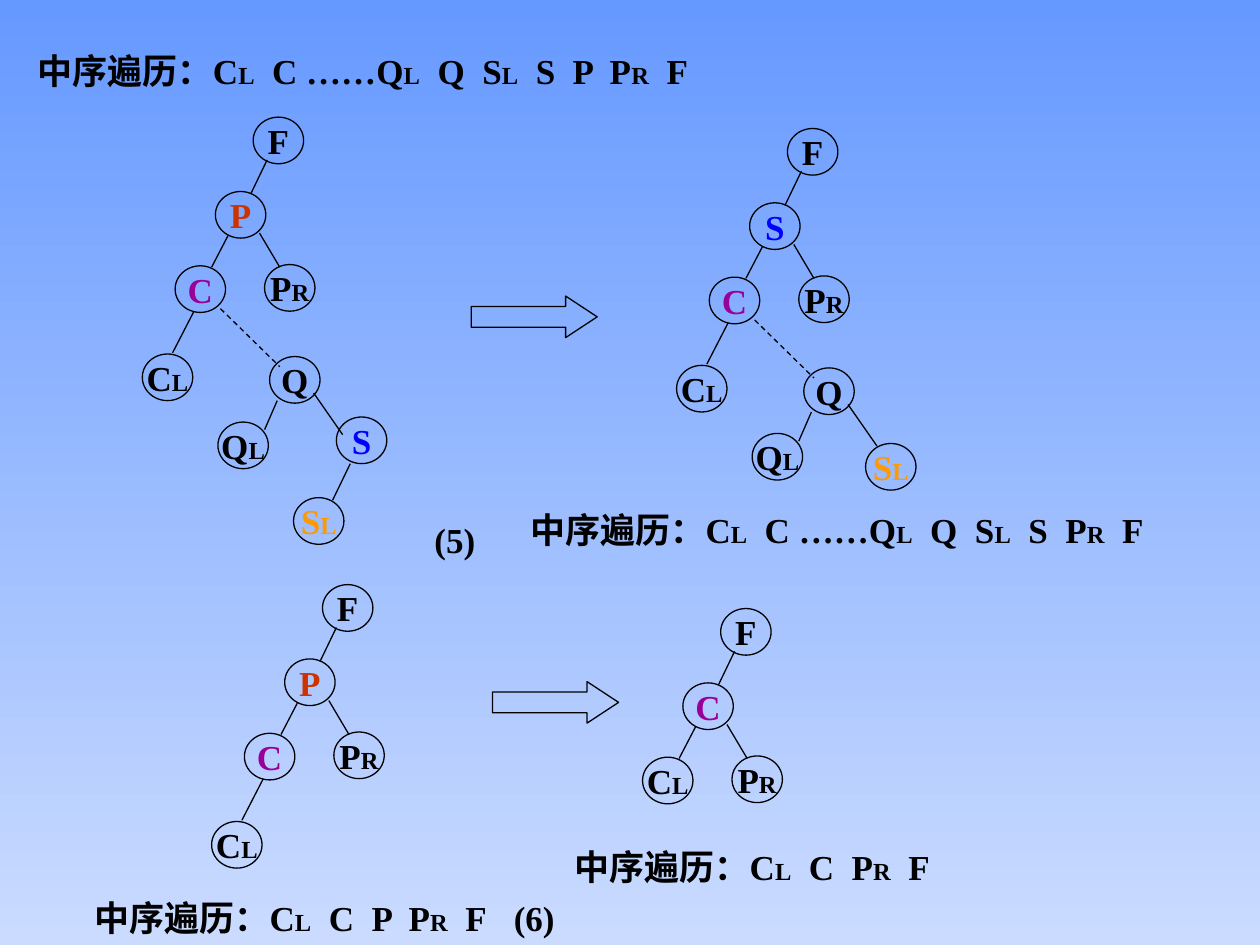
from dataclasses import dataclass
from typing import NamedTuple, Optional

from lxml.etree import SubElement
from pptx import Presentation
from pptx.dml.color import RGBColor
from pptx.enum.dml import MSO_LINE
from pptx.enum.shapes import MSO_CONNECTOR, MSO_SHAPE
from pptx.enum.text import MSO_ANCHOR, MSO_AUTO_SIZE, PP_ALIGN
from pptx.oxml.ns import qn
from pptx.util import Emu, Pt

BLACK = RGBColor(0x00, 0x00, 0x00)
RED = RGBColor(0xCC, 0x33, 0x00)
PURPLE = RGBColor(0x99, 0x00, 0x99)
BLUE = RGBColor(0x00, 0x00, 0xFF)
ORANGE = RGBColor(0xFF, 0x99, 0x00)
SKY = RGBColor(0x66, 0x99, 0xFF)
PALE = RGBColor(0xCA, 0xDB, 0xFF)

FONT = "Times New Roman"
LETTER_SIZE, SUFFIX_SIZE = 20, 14
LINE_WIDTH = Pt(0.75)
NODE_WIDTH, NODE_HEIGHT = 40, 37
ARROW_WIDTH, ARROW_HEIGHT = 100, 33
TEXT_HEIGHT = 44


class Edge(NamedTuple):
    start_x: int
    start_y: int
    end_x: int
    end_y: int
    dashed: bool = False


class Slot(NamedTuple):
    left: int
    top: int
    edge: Optional[Edge] = None


class Node(NamedTuple):
    slot: Slot
    label: str
    color: RGBColor = BLACK


@dataclass
class Tree:
    left: int
    top: int
    nodes: list[Node]


@dataclass
class Caption:
    left: int
    top: int
    width: int
    text: str
    align: PP_ALIGN = PP_ALIGN.LEFT


ROOT = Slot(0, 0)
CHILD = Slot(-30, 59, Edge(11, 34, -2, 61))
LEFT = Slot(-62, 118, Edge(-20, 94, -33, 119))
RIGHT = Slot(9, 117, Edge(5, 92, 21, 119))
LEFT_LEFT = Slot(-88, 188, Edge(-47, 154, -64, 187))
INNER = Slot(13, 190, Edge(-26, 152, 21, 198, True))
INNER_LEFT = Slot(-28, 242, Edge(19, 225, 9, 248))
INNER_RIGHT_EDGE = Edge(48, 219, 71, 252)
INNER_RIGHT = Slot(66, 238, INNER_RIGHT_EDGE)
INNER_RIGHT_LOW = Slot(62, 250, INNER_RIGHT_EDGE)
LOWEST = Slot(32, 302, Edge(77, 275, 63, 304))

F_ROOT = Node(ROOT, "F")
P_CHILD = Node(CHILD, "P", RED)
C_SUBTREE = [Node(LEFT, "C", PURPLE), Node(RIGHT, "P_R"), Node(LEFT_LEFT, "C_L")]
Q_SUBTREE = [Node(INNER, "Q"), Node(INNER_LEFT, "Q_L")]

TREES = [
    Tree(201, 93, [F_ROOT, P_CHILD, *C_SUBTREE, *Q_SUBTREE,
                   Node(INNER_RIGHT, "S", BLUE), Node(LOWEST, "S_L", ORANGE)]),
    Tree(625, 102, [F_ROOT, Node(CHILD, "S", BLUE), *C_SUBTREE, *Q_SUBTREE,
                    Node(INNER_RIGHT_LOW, "S_L", ORANGE)]),
    Tree(256, 464, [F_ROOT, P_CHILD, *C_SUBTREE]),
    Tree(572, 483, [F_ROOT, Node(CHILD, "C", PURPLE),
                    Node(RIGHT, "P_R"), Node(LEFT, "C_L")]),
]

CAPTIONS = [
    Caption(20, 34, 554, "中序遍历：C_L  C ……Q_L  Q  S_L  S  P  P_R  F"),
    Caption(411, 398, 523, "中序遍历：C_L  C ……Q_L  Q  S_L  S  P_R  F"),
    Caption(331, 406, 60, "(5)", PP_ALIGN.CENTER),
    Caption(65, 706, 350, "中序遍历：C_L  C  P  P_R  F"),
    Caption(446, 666, 319, "中序遍历：C_L  C  P_R  F"),
    Caption(394, 706, 60, "(6)", PP_ALIGN.CENTER),
]

ARROWS = [(374, 235), (391, 541)]


def px(length: int) -> Emu:
    return Emu(length * 9144)


def add_span(para, text: str, size: int, color: RGBColor) -> None:
    span = para.add_run()
    span.text = text
    span.font.name = FONT
    span.font.size = Pt(size)
    span.font.bold = True
    span.font.color.rgb = color


def write_label(frame, text: str, color: RGBColor, align: PP_ALIGN) -> None:
    frame.word_wrap = False
    frame.vertical_anchor = MSO_ANCHOR.MIDDLE
    para = frame.paragraphs[0]
    para.alignment = align
    first, *rest = text.split("_")
    add_span(para, first, LETTER_SIZE, color)
    for part in rest:
        add_span(para, part[0], SUFFIX_SIZE, color)
        if part[1:]:
            add_span(para, part[1:], LETTER_SIZE, color)


def add_outline(page, kind: MSO_SHAPE, left: int, top: int, width: int, height: int):
    shape = page.shapes.add_shape(kind, px(left), px(top), px(width), px(height))
    shape.shadow.inherit = False
    shape.fill.background()
    shape.line.color.rgb = BLACK
    shape.line.width = LINE_WIDTH
    return shape


def add_edge(page, tree: Tree, edge: Edge) -> None:
    line = page.shapes.add_connector(
        MSO_CONNECTOR.STRAIGHT,
        px(tree.left + edge.start_x), px(tree.top + edge.start_y),
        px(tree.left + edge.end_x), px(tree.top + edge.end_y))
    line.line.color.rgb = BLACK
    line.line.width = LINE_WIDTH
    if edge.dashed:
        line.line.dash_style = MSO_LINE.DASH
    SubElement(line._element.spPr, qn("a:effectLst"))


def add_tree(page, tree: Tree) -> None:
    for slot, label, color in tree.nodes:
        circle = add_outline(page, MSO_SHAPE.OVAL, tree.left + slot.left,
                             tree.top + slot.top, NODE_WIDTH, NODE_HEIGHT)
        write_label(circle.text_frame, label, color, PP_ALIGN.CENTER)
        if slot.edge:
            add_edge(page, tree, slot.edge)


def add_caption(page, caption: Caption) -> None:
    box = page.shapes.add_textbox(px(caption.left), px(caption.top),
                                  px(caption.width), px(TEXT_HEIGHT))
    write_label(box.text_frame, caption.text, BLACK, caption.align)
    box.text_frame.auto_size = MSO_AUTO_SIZE.NONE


def add_arrow(page, left: int, top: int) -> None:
    arrow = add_outline(page, MSO_SHAPE.RIGHT_ARROW, left, top, ARROW_WIDTH, ARROW_HEIGHT)
    arrow.adjustments[0] = 0.5
    arrow.adjustments[1] = 0.76


def paint_background(page) -> None:
    fill = page.background.fill
    fill.gradient()
    fill.gradient_angle = 270
    for stop, position, color in zip(fill.gradient_stops, (0, 1), (SKY, PALE)):
        stop.position = position
        stop.color.rgb = color


def main() -> None:
    deck = Presentation()
    deck.slide_width, deck.slide_height = px(1000), px(750)
    page = deck.slides.add_slide(deck.slide_layouts[6])
    paint_background(page)
    for left, top in ARROWS:
        add_arrow(page, left, top)
    for tree in TREES:
        add_tree(page, tree)
    for caption in CAPTIONS:
        add_caption(page, caption)
    deck.save("out.pptx")


if __name__ == "__main__":
    main()
